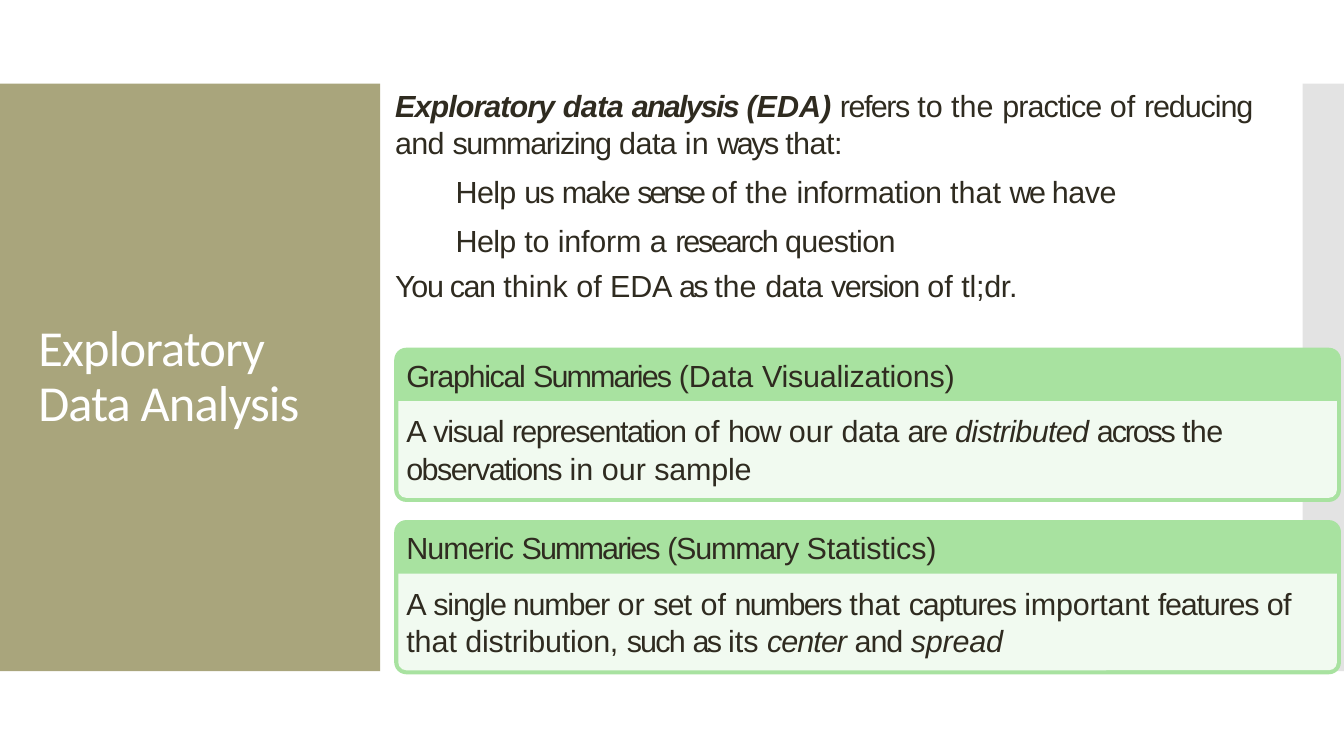
"""Build the Exploratory Data Analysis slide."""
from lxml import etree
from pptx import Presentation
from pptx.dml.color import RGBColor
from pptx.enum import shapes, text
from pptx.oxml.ns import qn
from pptx.util import Inches, Pt

COLORS = {"olive": "A9A57C", "gray": "C8C8C8", "ink": "2F2B20",
          "white": "FFFFFF", "green": "A8E2A0", "mint": "F1FAF0"}
BOLD_ITALIC = {"bold": True, "italic": True}
ITALIC = {"italic": True}
BODY_SIZE, TITLE_SIZE = 21.8, 36

TITLE = "Exploratory Data Analysis"
DEFINITION = [
    ("Exploratory ", -0.7, BOLD_ITALIC), ("data ", -0.4, BOLD_ITALIC),
    ("analysis ", -1.3, BOLD_ITALIC), ("(EDA) ", 0, BOLD_ITALIC),
    ("refers ", -1.1), ("to the ", 0), ("practice ", -0.7), ("of ", 0),
    ("reducing ", -0.8), ("and ", -0.5), ("summarizing ", -1), ("data ", -0.4),
    ("in ", 0), ("ways ", -1.8), ("that:", -0.4)]
GOALS = [
    [("Help ", -0.5), ("us ", -1.1), ("make ", -1.4), ("sense ", -2.3), ("of the ", 0),
     ("information ", -0.4), ("that ", 0), ("we ", -1.9), ("have", -0.4)],
    [("Help ", -0.5), ("to", 0), (" inform ", -0.2), ("a ", 0),
     ("research ", -1.6), ("question", -0.5)]]
ANALOGY = [
    ("You can ", -1), ("think of", 0), (" EDA ", -0.2), ("as ", -2), ("the ", 0),
    ("data ", -0.4), ("version ", -1.1), ("of ", 0), ("tl;dr.", -0.2)]
CARDS = [
    ([("Graphical ", -1), ("Summaries ", -1.4), ("(Data ", 0), ("Visualizations)", -0.2)],
     [("A ", 0), ("visual ", -1), ("representation ", -1.1), ("of ", 0), ("how ", -0.9),
      ("our ", 0), ("data ", -0.4), ("are ", -1.2), ("distributed ", -0.5, ITALIC),
      ("across ", -1.6), ("the ", -0.5), ("observations ", -1.1), ("in our", 0),
      (" sample", -0.2)]),
    ([("Numeric ", -0.7), ("Summaries ", -1.4), ("(Summary ", -0.9), ("Statistics)", -0.2)],
     [("A ", 0), ("single number ", -0.9), ("or ", 0), ("set", -0.7), (" of ", 0),
      ("numbers ", -1.3), ("that ", 0), ("captures ", -0.9), ("important ", -0.2),
      ("features ", -0.9), ("of ", -0.5), ("that", 0), (" distribution, ", -0.2),
      ("such ", -1.3), ("as ", -1.9), ("its ", 0), ("center ", -0.7, ITALIC),
      ("and ", -0.8), ("spread", -0.2, ITALIC)])]

BAND_TOP, BAND_H = 0.83, 5.83
CARD_X, CARD_TOP, CARD_W, CARD_H, CARD_PITCH = 3.91, 3.45, 9.39, 1.53, 1.71
HEAD_H, BORDER, RADIUS = 0.53, 0.04, 0.12


def add_runs(p, runs, size, font, color):
    """Fill a paragraph with styled, letter-spaced runs."""
    for words, spacing, *style in runs:
        r = p.add_run()
        r.text = words
        look = {"name": font, "size": Pt(size), "bold": False, "italic": False}
        for key, value in {**look, **(style[0] if style else {})}.items():
            setattr(r.font, key, value)
        r.font.color.rgb = RGBColor.from_string(COLORS[color])
        r._r.get_or_add_rPr().set("spc", str(round(spacing * 100)))


def add_text(s, x, y, w, h, paragraphs, line_spacing=1.0, gap=0):
    """Add a wrapped text box without insets."""
    tf = s.shapes.add_textbox(*map(Inches, (x, y, w, h))).text_frame
    tf.word_wrap = True
    for side in ("left", "top", "right", "bottom"):
        setattr(tf, f"margin_{side}", 0)
    for i, runs in enumerate(paragraphs):
        p = tf.add_paragraph() if i else tf.paragraphs[0]
        p.line_spacing = line_spacing
        p.space_before = Pt(gap if i else 0)
        add_runs(p, runs, BODY_SIZE, "Arial", "ink")


def add_block(s, kind, x, y, w, h, color, adjustments=()):
    """Add a plain filled shape."""
    sp = s.shapes.add_shape(kind, *map(Inches, (x, y, w, h)))
    for i, value in enumerate(adjustments):
        sp.adjustments[i] = value
    sp.shadow.inherit = False
    sp.fill.solid()
    sp.fill.fore_color.rgb = RGBColor.from_string(COLORS[color])
    sp.line.fill.background()
    return sp


def add_card(s, y, heading, body):
    """Add a rounded card with a heading band and a body."""
    kind = shapes.MSO_SHAPE
    add_block(s, kind.ROUNDED_RECTANGLE, CARD_X, y, CARD_W, CARD_H, "green",
              [RADIUS / CARD_H])
    body_h = CARD_H - HEAD_H - BORDER
    add_block(s, kind.ROUND_2_SAME_RECTANGLE, CARD_X + BORDER, y + HEAD_H,
              CARD_W - 2 * BORDER, body_h, "mint", [0, (RADIUS - BORDER) / body_h])
    add_text(s, 4.03, y + 0.09, 8.87, 0.36, [heading])
    add_text(s, 4.03, y + 0.63, 8.87, 0.74, [body], 1.03)


def main():
    prs = Presentation()
    prs.slide_width, prs.slide_height = Inches(13.33), Inches(7.5)
    s = prs.slides.add_slide(prs.slide_layouts[5])

    title = s.shapes.title
    rect = shapes.MSO_SHAPE.RECTANGLE
    left = add_block(s, rect, 0, BAND_TOP, 3.77, BAND_H, "olive")
    right = add_block(s, rect, 12.92, BAND_TOP, 0.41, BAND_H, "gray")
    tint = right._element.spPr.find(qn("a:solidFill"))[0]
    etree.SubElement(tint, qn("a:alpha")).set("val", "50000")
    for band in (left, right):
        title._element.addprevious(band._element)

    box = {"left": 0.28, "top": 1.23, "width": 3.22, "height": 5.03}
    for key, value in box.items():
        setattr(title, key, Inches(value))
    tf = title.text_frame
    tf.word_wrap = True
    tf.auto_size = text.MSO_AUTO_SIZE.NONE
    tf.vertical_anchor = text.MSO_ANCHOR.MIDDLE
    p = tf.paragraphs[0]
    p.alignment = text.PP_ALIGN.LEFT
    p.line_spacing = 0.9
    add_runs(p, [(TITLE, -0.6)], TITLE_SIZE, "Calibri", "white")

    add_text(s, 3.92, 0.85, 8.84, 0.73, [DEFINITION], 1.03)
    add_text(s, 4.52, 1.72, 7.33, 0.83, GOALS, gap=8.6)
    add_text(s, 3.92, 2.65, 6.33, 0.37, [ANALOGY])
    for i, (heading, body) in enumerate(CARDS):
        add_card(s, CARD_TOP + i * CARD_PITCH, heading, body)
    prs.save("out.pptx")


if __name__ == "__main__":
    main()
